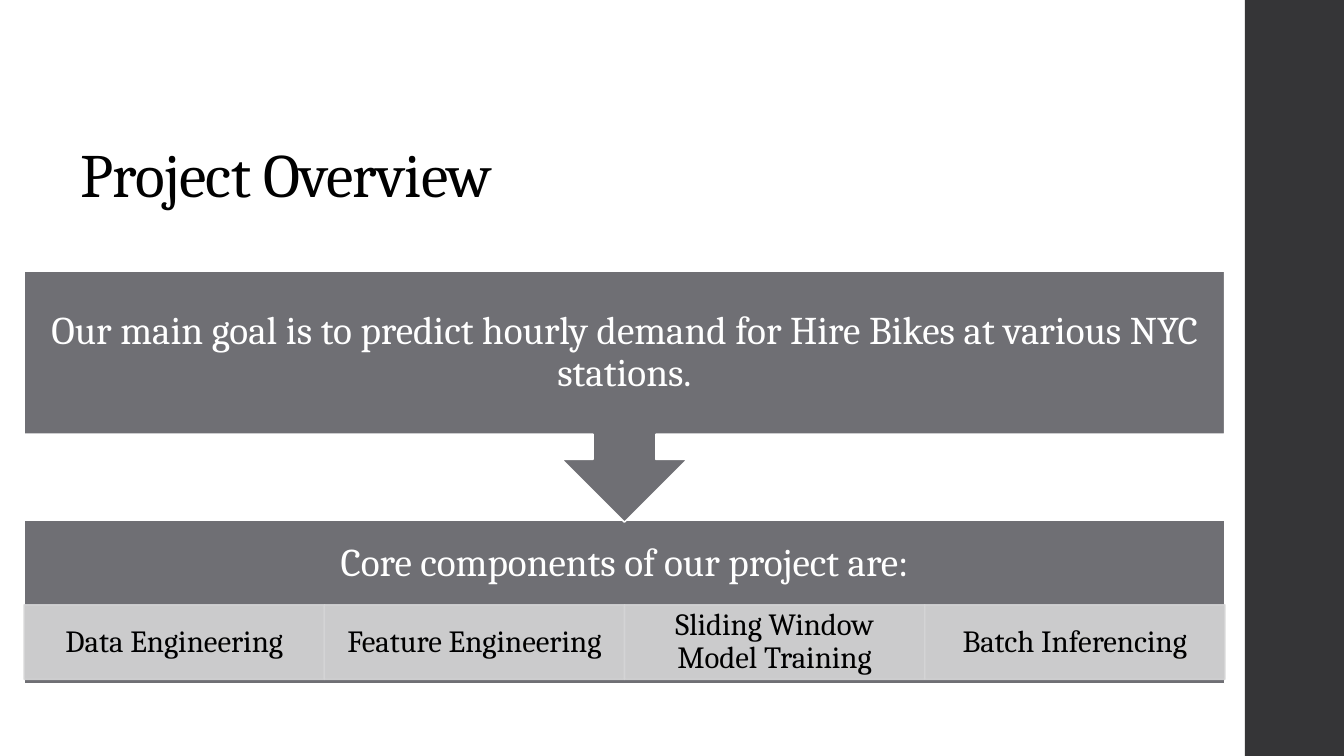
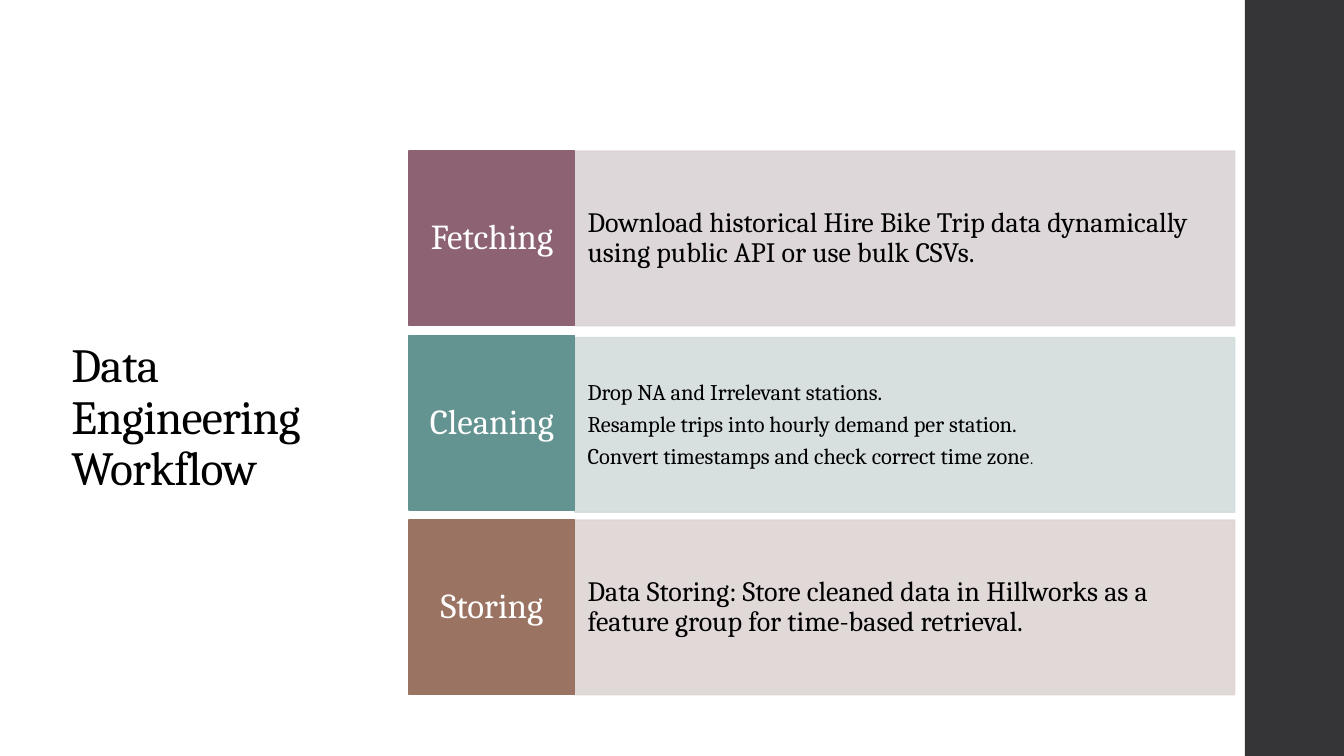
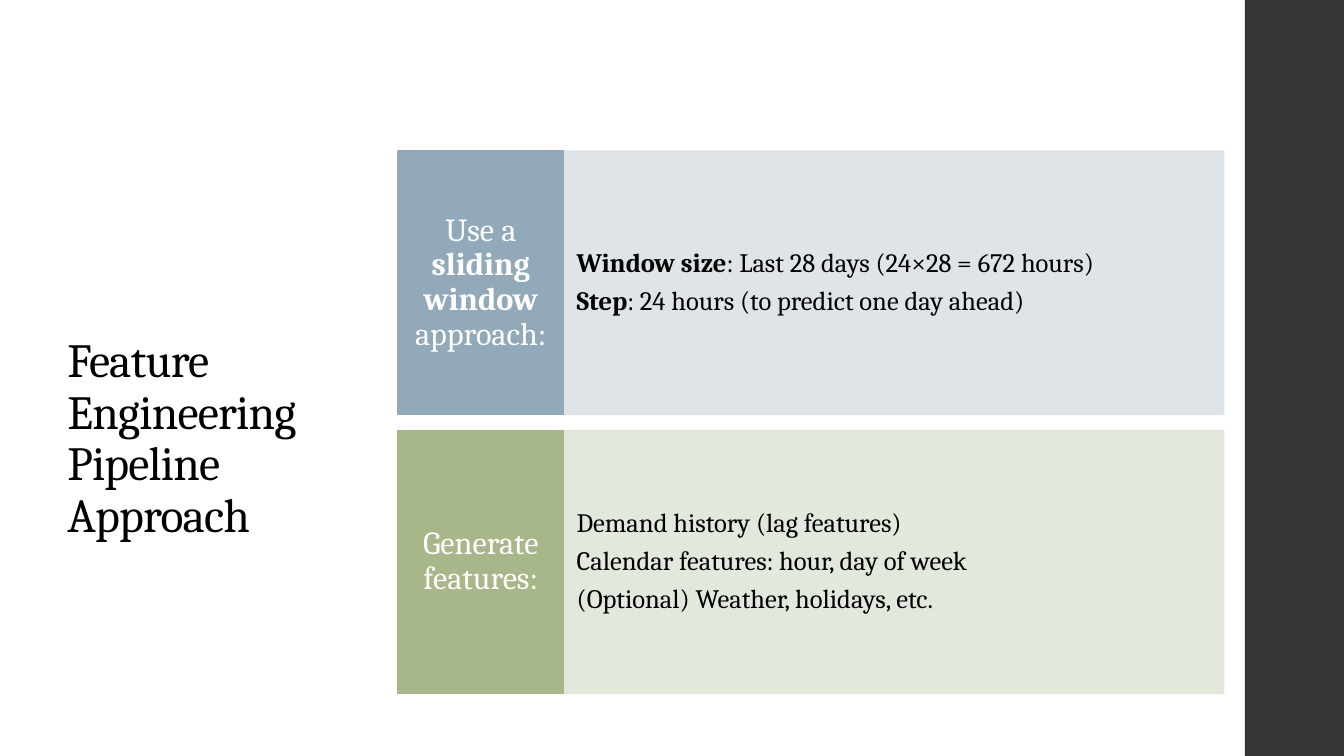
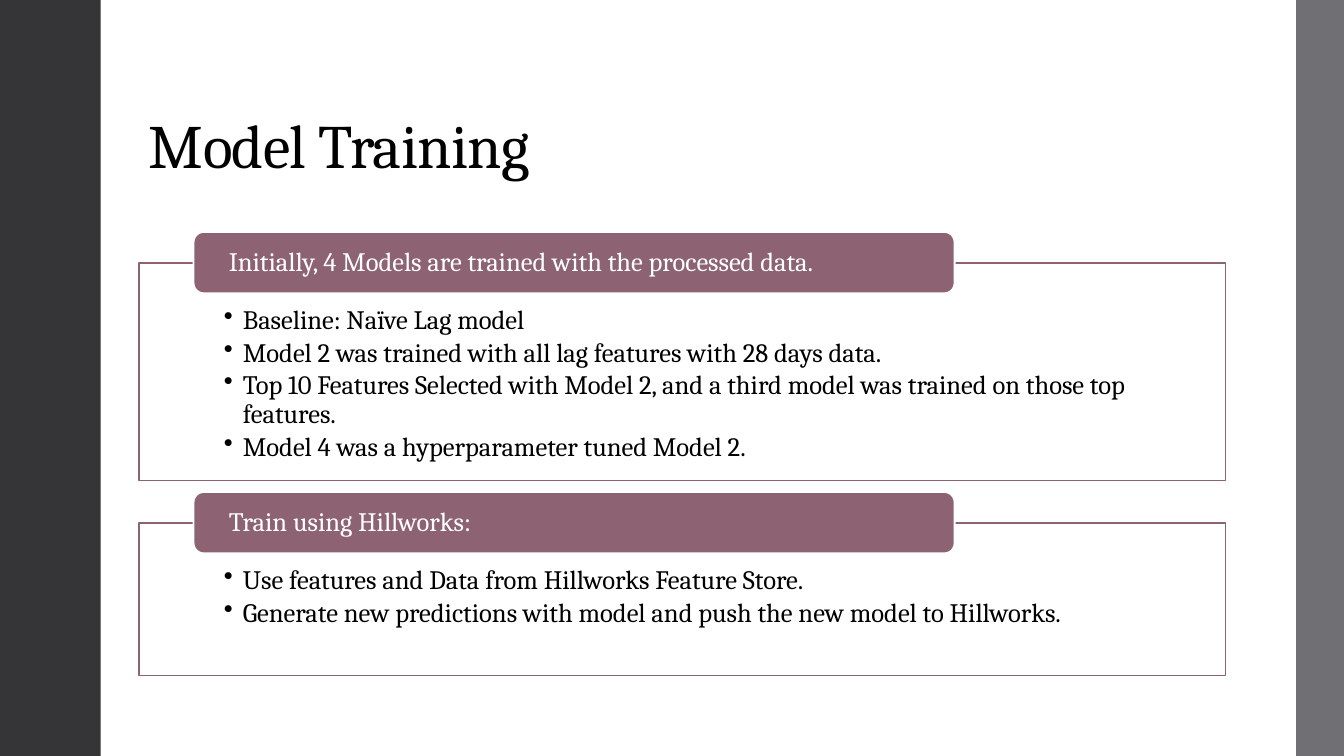
from dataclasses import dataclass
from typing import Any, Optional

from lxml.etree import SubElement
from pptx import Presentation
from pptx.dml.color import RGBColor
from pptx.enum.shapes import MSO_SHAPE
from pptx.enum.text import MSO_ANCHOR, PP_ALIGN
from pptx.oxml.ns import qn
from pptx.util import Inches, Pt

WIDTH, HEIGHT = 13.33, 7.5
FONT = "Cambria"
COLORS = {
    "white": "FFFFFF", "black": "000000", "band": "353537", "gray": "6F6F74",
    "gray tint": "D5D5D6", "plum": "8D6374", "plum tint": "DBD3D6",
    "teal": "639491", "teal tint": "D3DCDC", "brown": "9B7362",
    "brown tint": "DED5D3", "blue": "92A9B9", "blue tint": "DCE2E6",
    "green": "A7B789", "green tint": "E1E6DA",
}


@dataclass(frozen=True)
class Area:
    """A rectangle in percent of the slide's width and height."""
    left: float
    top: float
    width: float
    height: float

    def place(self) -> list[int]:
        """Return the rectangle in slide units."""
        return [Inches(share * side / 100) for share, side in
                zip((self.left, self.top, self.width, self.height), (WIDTH, HEIGHT) * 2)]


@dataclass(frozen=True)
class Span:
    """A stretch of text with its own weight or size."""
    text: str
    bold: bool = False
    size: Optional[float] = None


@dataclass(frozen=True)
class Style:
    """The look of the text in one box."""
    size: float
    color: str = "black"
    align: Any = PP_ALIGN.LEFT
    anchor: Any = MSO_ANCHOR.MIDDLE
    insets: tuple[float, float, float, float] = (0.1, 0.05, 0.1, 0.05)
    after: float = 0.35
    bullet: bool = False
    spacing: int = 0


@dataclass(frozen=True)
class Step:
    """A coloured label and the lines that explain it."""
    color: str
    label: list[Span]
    lines: list[list[Span]]
    size: float
    drop: float = 0


@dataclass(frozen=True)
class Topic:
    """A headed frame with a bulleted list."""
    top: float
    height: float
    heading: str
    points: list[str]


def assign(target: Any, values: dict[str, Any]) -> None:
    """Set each attribute of the target from the dict."""
    for name, value in values.items():
        setattr(target, name, value)


def plain(*texts: str) -> list[list[Span]]:
    """Return one unstyled paragraph for each text."""
    return [[Span(text)] for text in texts]


def write(box: Any, lines: list[list[Span]], style: Style) -> None:
    """Fill a box with styled paragraphs."""
    frame = box.text_frame
    left, top, right, bottom = map(Inches, style.insets)
    assign(frame, {"word_wrap": True, "vertical_anchor": style.anchor,
                   "margin_left": left, "margin_top": top,
                   "margin_right": right, "margin_bottom": bottom})
    for index, line in enumerate(lines):
        para = frame.add_paragraph() if index else frame.paragraphs[0]
        assign(para, {"alignment": style.align, "line_spacing": 0.9,
                      "space_after": Pt(style.size * style.after)})
        if style.bullet:
            properties = para._p.get_or_add_pPr()
            properties.set("marL", str(Inches(0.19)))
            properties.set("indent", str(-Inches(0.19)))
            SubElement(properties, qn("a:buChar")).set("char", "•")
        for span in line:
            run = para.add_run()
            run.text = span.text
            assign(run.font, {"name": FONT, "size": Pt(span.size or style.size),
                              "bold": span.bold})
            run.font.color.rgb = RGBColor.from_string(COLORS[style.color])
            if style.spacing:
                run._r.get_or_add_rPr().set("spc", str(style.spacing))


def draw(page: Any, area: Area, fill: str, line: Optional[str] = None,
         kind: Any = MSO_SHAPE.RECTANGLE, weight: float = 1.1) -> Any:
    """Draw a filled shape; tints are slightly transparent."""
    shape = page.shapes.add_shape(kind, *area.place())
    shape.shadow.inherit = False
    shape.fill.solid()
    shape.fill.fore_color.rgb = RGBColor.from_string(COLORS[fill])
    if line:
        shape.line.width = Pt(weight)
        shape.line.color.rgb = RGBColor.from_string(COLORS[line])
    else:
        shape.line.fill.background()
    if fill.endswith("tint"):
        for color in shape._element.spPr.iter(qn("a:srgbClr")):
            SubElement(color, qn("a:alpha")).set("val", "90000")
    return shape


def add_page(deck: Any, title: str, area: Area, size: float,
             bands: list[tuple[float, float, str]]) -> Any:
    """Add a blank page with its side bands and title."""
    page = deck.slides.add_slide(deck.slide_layouts[6])
    for left, width, color in bands:
        draw(page, Area(left, 0, width, 100), color)
    box = page.shapes.add_textbox(*area.place())
    write(box, plain(title), Style(size, anchor=MSO_ANCHOR.BOTTOM, after=0, spacing=-50))
    return page


def add_steps(page: Any, steps: list[Step], left: float, height: float,
              pitch: float, label_size: float) -> None:
    """Stack the steps as label and detail rows."""
    inches = height * HEIGHT / 100
    label_style = Style(label_size, "white", PP_ALIGN.CENTER,
                        insets=(0.09, inches / 10) * 2)
    for row, step in enumerate(steps):
        top = 20 + row * pitch
        tint = f"{step.color} tint"
        detail = draw(page, Area(left + 12.3, top + step.drop, 49.12, height), tint, tint)
        write(detail, step.lines, Style(step.size, insets=(0.13, inches / 4) * 2))
        label = draw(page, Area(left, top, 12.3, height), step.color, step.color)
        write(label, [step.label], label_style)


def add_topic(page: Any, topic: Topic) -> None:
    """Draw a frame with a rounded heading on its top edge."""
    frame = draw(page, Area(10.35, topic.top, 80.85, topic.height), "white", "plum")
    write(frame, plain(*topic.points),
          Style(19, anchor=MSO_ANCHOR.TOP, insets=(0.84, 0.43, 0.84, 0.15),
                after=0.15, bullet=True))
    heading = draw(page, Area(14.4, topic.top - 4.13, 56.63, 8.13), "plum", "white",
                   MSO_SHAPE.ROUNDED_RECTANGLE, 1.35)
    write(heading, plain(topic.heading), Style(19, "white", insets=(0.32, 0) * 2))


def add_overview(page: Any) -> None:
    """Draw the goal, its arrow and the row of components."""
    left, width = 1.8, 89.33
    components = ["Data Engineering", "Feature Engineering",
                  "Sliding Window Model Training", "Batch Inferencing"]
    panel = draw(page, Area(left, 68.8, width, 21.6), "gray", "white")
    write(panel, plain("Core components of our project are:"),
          Style(28, "white", PP_ALIGN.CENTER, insets=(0.22, 0.22, 0.22, 0.97)))
    share = width / len(components)
    for column, component in enumerate(components):
        tile = draw(page, Area(left + column * share, 80, share, 9.87),
                    "gray tint", "gray tint")
        write(tile, plain(component),
              Style(22, align=PP_ALIGN.CENTER, insets=(0.17, 0.03) * 2))
    goal = draw(page, Area(left, 35.87, width, 33.2), "gray", "white",
                MSO_SHAPE.DOWN_ARROW_CALLOUT)
    write(goal, plain("Our main goal is to predict hourly demand for Hire Bikes "
                      "at various NYC stations."),
          Style(28, "white", PP_ALIGN.CENTER, insets=(0.22,) * 4))


def main() -> None:
    """Build and save the deck."""
    deck = Presentation()
    assign(deck, {"slide_width": Inches(WIDTH), "slide_height": Inches(HEIGHT)})
    right_band = [(92.63, 7.37, "band")]

    page = add_page(deck, "Project Overview", Area(5.25, 8.27, 89.33, 20.27), 44, right_band)
    add_overview(page)

    page = add_page(deck, "Data Engineering Workflow",
                    Area(4.58, 5.73, 21.75, 60.53), 34, right_band)
    add_steps(page, [
        Step("plum", [Span("Fetching")],
             plain("Download historical Hire Bike Trip data dynamically using "
                   "public API or use bulk CSVs."), 20),
        Step("teal", [Span("Cleaning")],
             plain("Drop NA and Irrelevant stations.",
                   "Resample trips into hourly demand per station.")
             + [[Span("Convert timestamps and check correct time zone"),
                 Span(".", size=11)]], 16, drop=0.27),
        Step("brown", [Span("Storing")],
             plain("Data Storing: Store cleaned data in Hillworks as a feature "
                   "group for time-based retrieval."), 20),
    ], left=30.45, height=23.07, pitch=24.4, label_size=25)

    page = add_page(deck, "Feature Engineering Pipeline Approach",
                    Area(4.28, 11.87, 21.75, 60.53), 34, right_band)
    add_steps(page, [
        Step("blue", [Span("Use a "), Span("sliding window", True), Span(" approach:")],
             [[Span("Window size", True), Span(": Last 28 days (24×28 = 672 hours)")],
              [Span("Step", True), Span(": 24 hours (to predict one day ahead)")]], 19),
        Step("green", [Span("Generate features:")],
             plain("Demand history (lag features)",
                   "Calendar features: hour, day of week",
                   "(Optional) Weather, holidays, etc."), 19),
    ], left=29.63, height=34.8, pitch=36.93, label_size=23)

    page = add_page(deck, "Model Training", Area(10.35, 5.33, 80.85, 19.33), 44,
                    [(0, 7.5, "band"), (96.45, 3.55, "gray")])
    for topic in (
        Topic(34.8, 28.8, "Initially, 4 Models are trained with the processed data.",
              ["Baseline: Naïve Lag model",
               "Model 2 was trained with all lag features with 28 days data.",
               "Top 10 Features Selected with Model 2, and a third model was "
               "trained on those top features.",
               "Model 4 was a hyperparameter tuned Model 2."]),
        Topic(69.2, 20.13, "Train using Hillworks:",
              ["Use features and Data from Hillworks Feature Store.",
               "Generate new predictions with model and push the new model to "
               "Hillworks."]),
    ):
        add_topic(page, topic)

    deck.save("out.pptx")


if __name__ == "__main__":
    main()
